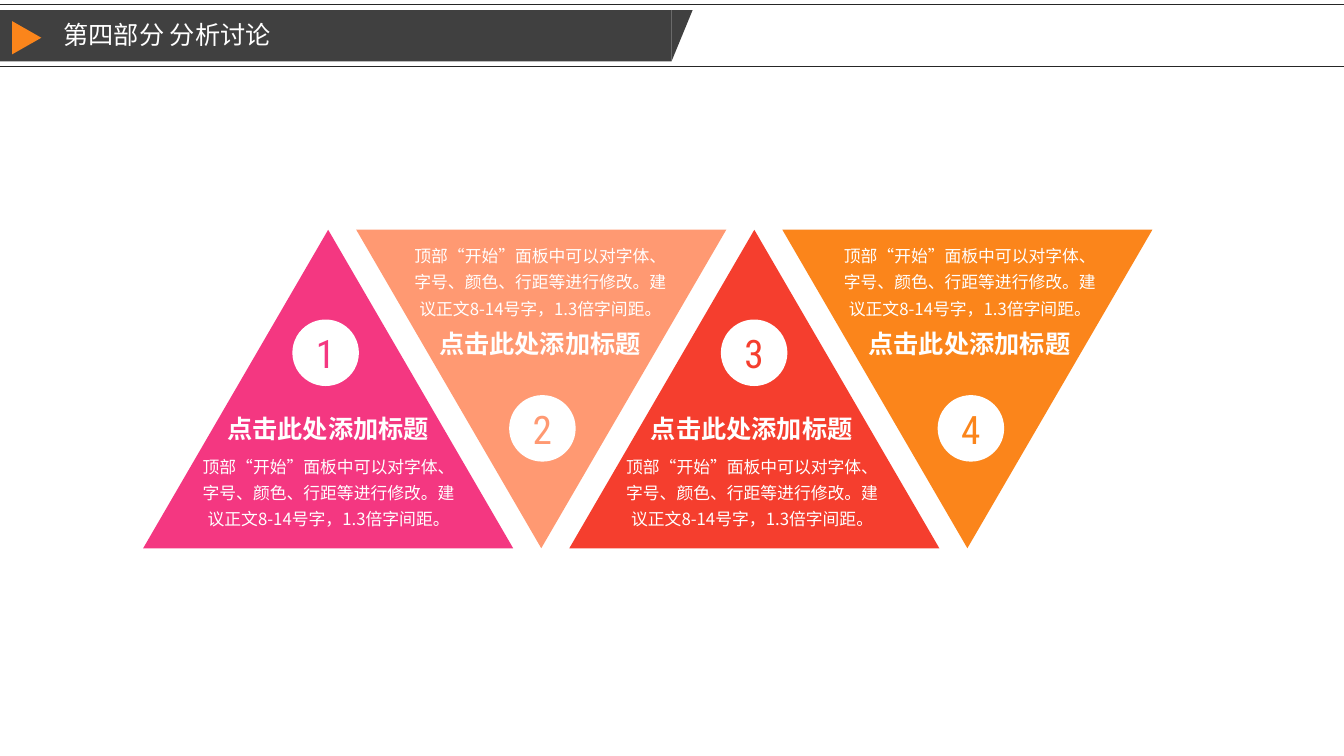
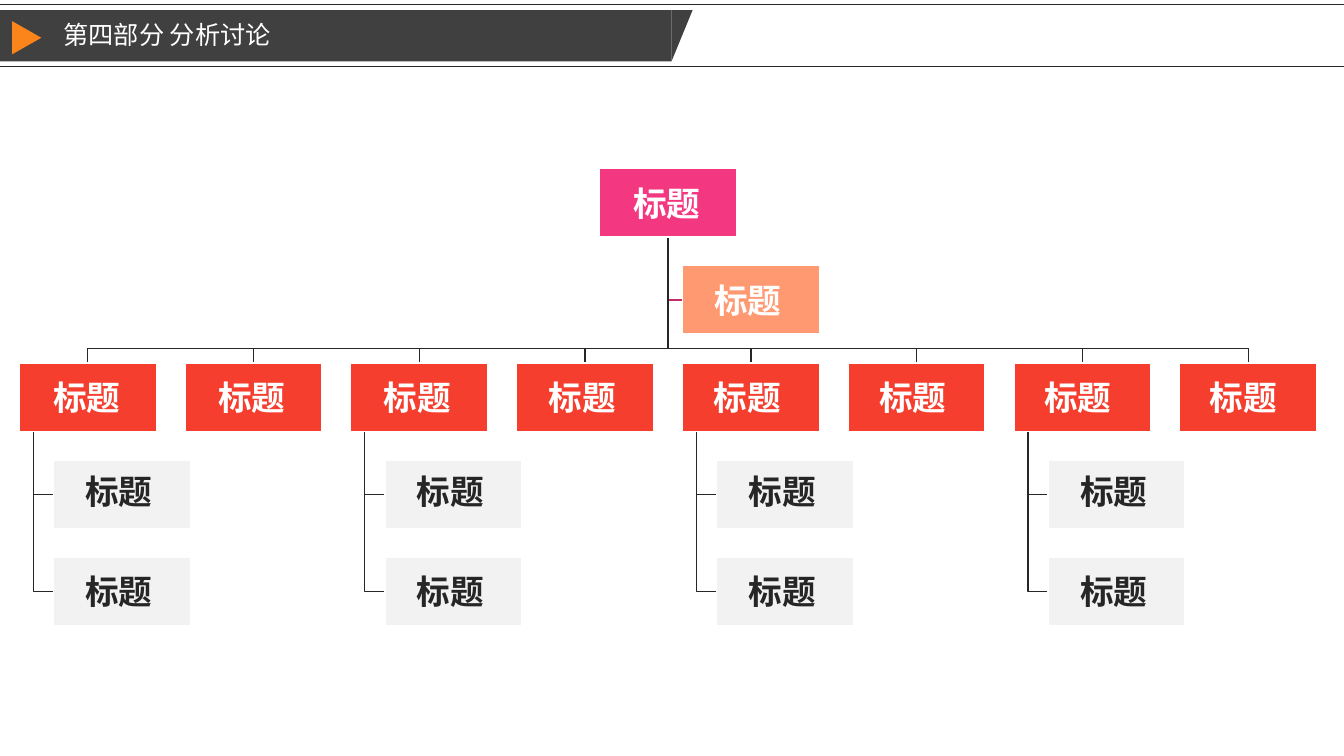
from dataclasses import dataclass

from lxml.etree import SubElement
from pptx import Presentation
from pptx.dml.color import RGBColor
from pptx.enum.shapes import MSO_CONNECTOR, MSO_SHAPE
from pptx.enum.text import MSO_ANCHOR, MSO_AUTO_SIZE, PP_ALIGN
from pptx.oxml.ns import qn
from pptx.util import Inches, Pt


@dataclass(frozen=True)
class Theme:
    ink: str = "262626"
    band: str = "404040"
    white: str = "FFFFFF"
    pale: str = "F2F2F2"
    pink: str = "F43781"
    rose: str = "C32C67"
    peach: str = "FF9972"
    red: str = "F53E2E"
    orange: str = "FB851B"
    latin: str = "Roboto Condensed"
    asian: str = "Noto Sans CJK SC"
    body: int = 12
    head: int = 18
    node: int = 24
    badge: int = 28


@dataclass(frozen=True)
class Box:
    left: float
    top: float
    width: float
    height: float

    def emu(self) -> tuple:
        return tuple(Inches(v) for v in (self.left, self.top, self.width, self.height))


@dataclass(frozen=True)
class Panel:
    number: str
    color: str
    down: bool
    text: float  # centre of the text
    disc: float  # centre of the badge


@dataclass(frozen=True)
class Node:
    col: float
    row: int
    fill: str
    color: str
    shift: float = 0  # indent of the box
    back: float = 0  # text moved left
    rise: float = 0  # text moved up

    def box(self) -> Box:
        left = ORG_LEFT + self.col * COL_STEP + self.shift
        return Box(left, ORG_TOP + self.row * ROW_STEP, NODE_W, NODE_H)


T = Theme()
WIDE, HIGH = 13.33, 7.5

# Triangle strip
TRI = Box(1.42, 2.28, 3.67, 3.16)
TRI_STEP = (7.76 - TRI.left) / 3
DISC = 0.66
PANELS = [
    Panel("1", T.pink, False, 3.26, 3.23),
    Panel("2", T.peach, True, 5.36, 5.38),
    Panel("3", T.red, False, 7.46, 7.48),
    Panel("4", T.orange, True, 9.62, 9.63),
]
HEAD = "点击此处添加标题"
BODY = "顶部“开始”面板中可以对字体、字号、颜色、行距等进行修改。建议正文8-14号字，1.3倍字间距。"

# Organisation chart grid
COLS = 8
ORG_LEFT, ORG_TOP = 0.19, 1.67
COL_STEP = (11.7 - ORG_LEFT) / (COLS - 1)
ROW_STEP = (5.53 - ORG_TOP) / 4
NODE_W, NODE_H = 1.36, 0.68
BUS_Y = 3.46
SPINE, INDENT = 0.14, 0.34


def rgb(color: str) -> RGBColor:
    return RGBColor.from_string(color)


def write(shape, text: str, size: int, color: str, bold: bool = False,
          align=PP_ALIGN.CENTER, face: str = T.latin, lines: float = 1.0) -> None:
    frame = shape.text_frame
    frame.text = text
    para = frame.paragraphs[0]
    para.alignment = align
    para.line_spacing = lines
    para.space_before = Pt(0)
    font = para.font
    font.size, font.bold, font.name = Pt(size), bold, face
    font.color.rgb = rgb(color)
    # East Asian glyphs need their own typeface entry
    props = para._p.pPr.find(qn("a:defRPr"))
    SubElement(props, qn("a:ea")).set("typeface", T.asian)


def draw(slide, kind, box: Box, fill: str, line: str = "", flip: bool = False):
    shape = slide.shapes.add_shape(kind, *box.emu())
    shape.shadow.inherit = False
    shape.fill.solid()
    shape.fill.fore_color.rgb = rgb(fill)
    if line:
        shape.line.color.rgb = rgb(line)
        shape.line.width = Pt(1)
    else:
        shape.line.fill.background()
    if flip:
        shape._element.spPr.find(qn("a:xfrm")).set("flipV", "1")
    frame = shape.text_frame
    frame.margin_left = frame.margin_right = 0
    frame.margin_top = frame.margin_bottom = 0
    frame.vertical_anchor = MSO_ANCHOR.MIDDLE
    return shape


def rule(slide, y: float) -> None:
    line = slide.shapes.add_connector(
        MSO_CONNECTOR.STRAIGHT, 0, Inches(y), Inches(WIDE), Inches(y))
    line.line.color.rgb = rgb(T.ink)
    line.line.width = Pt(0.5)
    SubElement(line._element.spPr, qn("a:effectLst"))


def bend(slide, color: str, *points: tuple) -> None:
    """Draw an open line with square corners."""
    first, *rest = [(Inches(x), Inches(y)) for x, y in points]
    form = slide.shapes.build_freeform(*first, scale=1.0)
    form.add_line_segments(rest, close=False)
    shape = form.convert_to_shape()
    shape.shadow.inherit = False
    shape.fill.background()
    shape.line.color.rgb = rgb(color)
    shape.line.width = Pt(1)


def label(slide, box: Box, text: str, size: int, **style) -> None:
    shape = slide.shapes.add_textbox(*box.emu())
    shape.text_frame.word_wrap = True
    write(shape, text, size, T.white, **style)


def start(deck, text: str):
    """Add a slide with the shared header band and title."""
    slide = deck.slides.add_slide(deck.slide_layouts[5])
    for y in (0.04, 0.66):
        rule(slide, y)
    draw(slide, MSO_SHAPE.RECTANGLE, Box(0, 0.1, 6.66, 0.51), T.band)
    tip = draw(slide, MSO_SHAPE.ISOSCELES_TRIANGLE, Box(6.66, 0.1, 0.21, 0.51),
               T.band, flip=True)
    tip.adjustments[0] = 0
    mark = draw(slide, MSO_SHAPE.ISOSCELES_TRIANGLE, Box(0.1, 0.23, 0.33, 0.29), T.orange)
    mark.rotation = 90

    # Title sits in front of the band
    title = slide.shapes.title
    title.left, title.top, title.width, title.height = Box(0.53, 0.11, 5.91, 0.51).emu()
    title.text_frame.auto_size = MSO_AUTO_SIZE.NONE
    title.text_frame.vertical_anchor = MSO_ANCHOR.MIDDLE
    write(title, text, T.head, T.white, align=PP_ALIGN.LEFT, lines=0.9)
    title.element.getparent().append(title.element)
    return slide


def panel(slide, index: int, item: Panel) -> None:
    left = TRI.left + index * TRI_STEP
    draw(slide, MSO_SHAPE.ISOSCELES_TRIANGLE,
         Box(left, TRI.top, TRI.width, TRI.height), item.color, flip=item.down)
    head, body, disc = (3.21, 2.33, 3.92) if item.down else (4.05, 4.42, 3.17)
    label(slide, Box(item.text - 1.32, head, 2.63, 0.4), HEAD, T.head, bold=True)
    label(slide, Box(item.text - 1.39, body, 2.78, 0.89), BODY, T.body,
          face=T.asian, lines=1.3)
    badge = draw(slide, MSO_SHAPE.OVAL, Box(item.disc - DISC / 2, disc, DISC, DISC), T.white)
    write(badge, item.number, T.badge, item.color)


def node(slide, item: Node) -> None:
    shape = draw(slide, MSO_SHAPE.RECTANGLE, item.box(), item.fill, T.white)
    shape.text_frame.margin_right = Inches(2 * item.back)
    shape.text_frame.margin_bottom = Inches(2 * item.rise)
    write(shape, "标题", T.node, item.color, bold=True)


def chart(slide) -> None:
    root = Node((COLS - 1) / 2, 0, T.pink, T.white, back=0.01)
    aide = Node(4, 1, T.peach, T.white, back=0.03)
    team = [Node(c, 2, T.red, T.white, back=0.01 + 0.04 * c / (COLS - 1))
            for c in range(COLS)]
    subs = [Node(c, r, T.pale, T.ink, INDENT, 0.03, rise)
            for c in range(0, COLS, 2) for r, rise in ((3, 0.03), (4, 0.01))]

    # Branch to the aide, then trunk and bus to each team node
    top, side, first = root.box(), aide.box(), team[0].box()
    trunk, foot = top.left + NODE_W / 2, top.top + NODE_H
    branch = side.top + NODE_H / 2
    bend(slide, T.rose, (trunk, foot), (trunk, branch), (side.left, branch))
    for item in team:
        x = item.box().left + NODE_W / 2
        bend(slide, T.ink, (trunk, foot), (trunk, BUS_Y), (x, BUS_Y), (x, first.top))

    # Spine and twig to each sub-node
    for item in subs:
        box = item.box()
        x, y = box.left - INDENT + SPINE, box.top + NODE_H / 2
        bend(slide, T.ink, (x, first.top + NODE_H), (x, y), (box.left, y))

    for item in [root, aide, *team, *subs]:
        node(slide, item)


def main() -> None:
    deck = Presentation()
    deck.slide_width, deck.slide_height = Inches(WIDE), Inches(HIGH)
    name = "第四部分 分析讨论"
    strip = start(deck, name)
    for index, item in enumerate(PANELS):
        panel(strip, index, item)
    chart(start(deck, name))
    deck.save("out.pptx")


if __name__ == "__main__":
    main()
